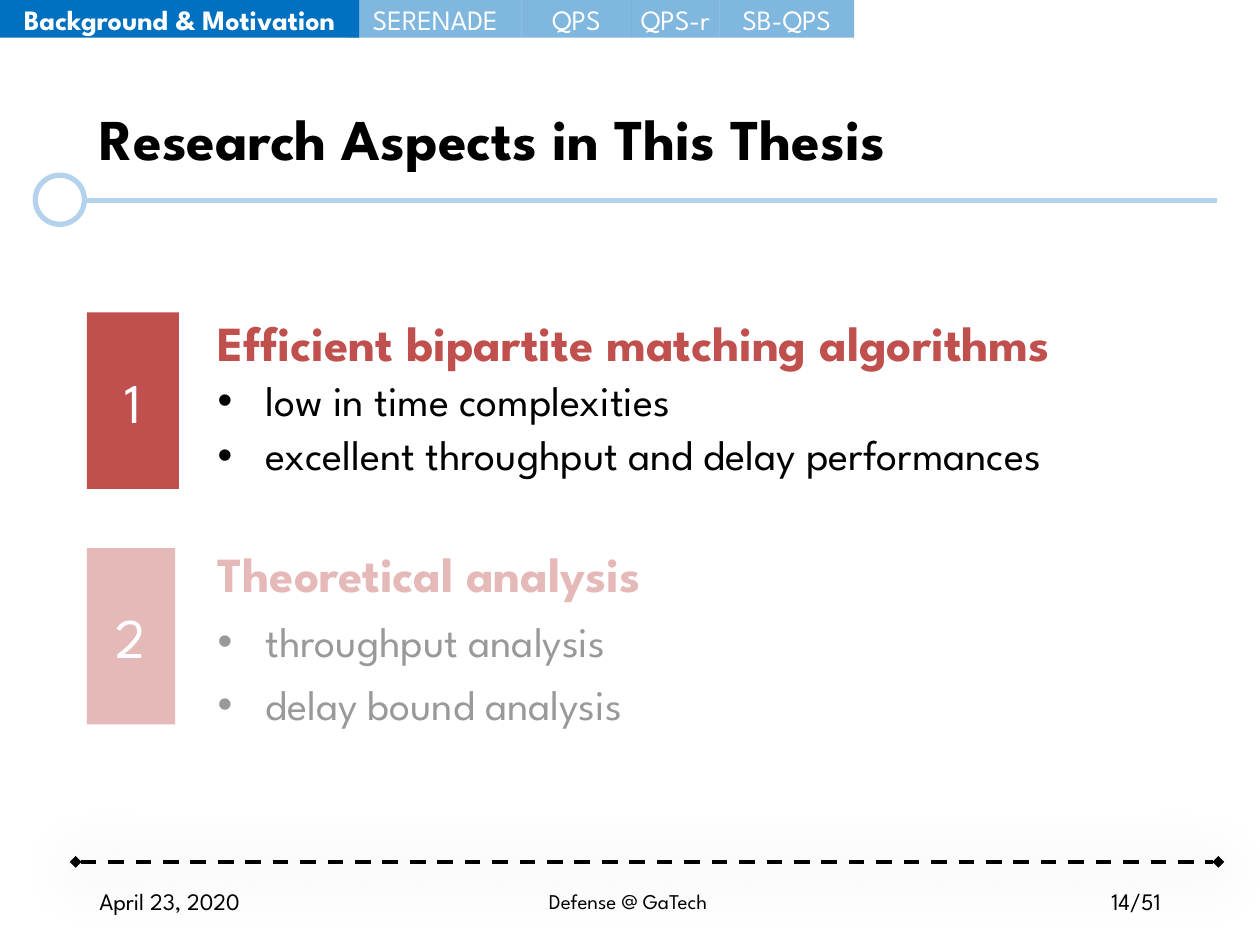
from dataclasses import dataclass

from lxml import etree
from pptx import Presentation
from pptx.dml.color import RGBColor
from pptx.enum import dml, shapes, text
from pptx.oxml import ns
from pptx.util import Inches, Pt


@dataclass(frozen=True)
class Theme:
    font: str = "League Spartan"
    black: str = "000000"
    white: str = "FFFFFF"
    accent: str = "C0504D"
    navigation: str = "0070C0"
    rule: str = "B5D2EC"
    title: float = 33
    number: float = 32
    heading: float = 28
    bullet: float = 24
    tab: float = 16
    footer: float = 13.5
    venue: float = 12


THEME = Theme()
ALIGN = text.PP_ALIGN


def color(value):
    return RGBColor.from_string(value)


def add_child(parent, tag, **attributes):
    return etree.SubElement(parent, ns.qn(tag), attributes)


def make_shadow(blur, distance, degrees, opacity):
    """Return an effect list with one outer shadow; lengths are points."""
    effects = etree.Element(ns.qn("a:effectLst"))
    shadow = add_child(effects, "a:outerShdw", blurRad=str(Pt(blur)), dist=str(Pt(distance)),
                       dir=str(degrees * 60000), algn="ctr", rotWithShape="0")
    black = add_child(shadow, "a:srgbClr", val=THEME.black)
    add_child(black, "a:alpha", val=str(opacity * 1000))
    return effects


def add_run(paragraph, words, size, ink, bold=False):
    run = paragraph.add_run()
    run.text = words
    run.font.name = THEME.font
    run.font.size = Pt(size)
    run.font.bold = bold
    run.font.color.rgb = color(ink)
    return run


def add_block(slide, kind, box, fill, opacity=100):
    shape = slide.shapes.add_shape(kind, *map(Inches, box))
    shape.shadow.inherit = False
    shape.line.fill.background()
    shape.fill.solid()
    shape.fill.fore_color.rgb = color(fill)
    if opacity < 100:
        tint = shape.fill._xPr.find(".//" + ns.qn("a:srgbClr"))
        add_child(tint, "a:alpha", val=str(opacity * 1000))
    return shape


def add_label_block(slide, box, fill, words, size, bold=False, opacity=100):
    shape = add_block(slide, shapes.MSO_SHAPE.RECTANGLE, box, fill, opacity)
    frame = shape.text_frame
    frame.margin_left = frame.margin_right = 0
    frame.vertical_anchor = text.MSO_ANCHOR.MIDDLE
    paragraph = frame.paragraphs[0]
    paragraph.alignment = ALIGN.CENTER
    add_run(paragraph, words, size, THEME.white, bold)


def add_text_frame(slide, box, anchor):
    frame = slide.shapes.add_textbox(*map(Inches, box)).text_frame
    frame.word_wrap = True
    frame.vertical_anchor = anchor
    return frame


def add_line(slide, left, right, y, ink, width):
    line = slide.shapes.add_connector(shapes.MSO_CONNECTOR.STRAIGHT, Inches(left), Inches(y),
                                      Inches(right), Inches(y))
    line.line.color.rgb = color(ink)
    line.line.width = Pt(width)
    return line


def add_title_rule(slide):
    line = add_line(slide, 0.69, 9.66, 1.59, THEME.rule, 3)
    add_child(line._element.spPr, "a:effectLst")
    ring = add_block(slide, shapes.MSO_SHAPE.OVAL, (0.28, 1.39, 0.39, 0.39), THEME.white)
    ring.line.color.rgb = color(THEME.rule)
    ring.line.width = Pt(3)


def add_footer_rule(slide):
    line = add_line(slide, 0.6, 9.67, 6.84, THEME.black, 2.25)
    line.line.dash_style = dml.MSO_LINE.DASH
    outline = line.line._get_or_add_ln()
    add_child(outline, "a:headEnd", type="diamond")
    add_child(outline, "a:tailEnd", type="diamond")
    line._element.spPr.append(make_shadow(36, 4, 90, 43))


def add_title(slide, words):
    frame = add_text_frame(slide, (0.69, 0.4, 8.62, 1.45), text.MSO_ANCHOR.MIDDLE)
    paragraph = frame.paragraphs[0]
    paragraph.line_spacing = 0.9
    run = add_run(paragraph, words, THEME.title, THEME.black, True)
    fill = run.font._element.find(ns.qn("a:solidFill"))
    fill.addnext(make_shadow(4, 3, 45, 45))


def add_footer(slide, left, width, words, size, alignment):
    frame = add_text_frame(slide, (left, 6.95, width, 0.4), text.MSO_ANCHOR.MIDDLE)
    paragraph = frame.paragraphs[0]
    paragraph.alignment = alignment
    add_run(paragraph, words, size, THEME.black)


def add_aspect(slide, box, heading, bullets, gap):
    """Add a heading and its bullets, with gap points before each bullet."""
    frame = add_text_frame(slide, box, text.MSO_ANCHOR.TOP)
    frame.auto_size = text.MSO_AUTO_SIZE.SHAPE_TO_FIT_TEXT
    paragraph = frame.paragraphs[0]
    paragraph.line_spacing = 0.9
    add_run(paragraph, heading, THEME.heading, THEME.accent, True)
    for words in bullets:
        paragraph = frame.add_paragraph()
        properties = paragraph._p.get_or_add_pPr()
        properties.set("marL", str(Inches(0.38)))
        properties.set("indent", str(-Inches(0.38)))
        add_child(properties, "a:buFont", typeface="Arial")
        add_child(properties, "a:buChar", char="•")
        paragraph.line_spacing = 0.9
        paragraph.space_before = Pt(gap)
        add_run(paragraph, words, THEME.bullet, THEME.black)


def add_navigation(slide):
    add_label_block(slide, (0, 0, 2.85, 0.3), THEME.navigation, "Background & Motivation",
                    THEME.tab, bold=True)
    left = 2.77
    for words, width in (("SERENADE", 1.37), ("QPS", 0.87), ("QPS-r", 0.7), ("SB-QPS", 1.07)):
        add_label_block(slide, (left, 0, width, 0.3), THEME.navigation, words, THEME.tab,
                        opacity=50)
        left += width


def main():
    presentation = Presentation()
    presentation.slide_width = Inches(10)
    presentation.slide_height = Inches(7.5)
    slide = presentation.slides.add_slide(presentation.slide_layouts[6])

    add_title_rule(slide)
    add_footer_rule(slide)
    add_title(slide, "Research Aspects in This Thesis")
    add_footer(slide, 0.69, 2.25, "April 23, 2020", THEME.footer, ALIGN.LEFT)
    add_footer(slide, 2.41, 5.15, "Defense @ GaTech", THEME.venue, ALIGN.CENTER)

    add_label_block(slide, (0.69, 2.48, 0.73, 1.4), THEME.accent, "1", THEME.number)
    add_aspect(slide, (1.63, 2.48, 8.16, 1.39), "Efficient bipartite matching algorithms",
               ("low in time complexities", "excellent throughput and delay performances"), 5)
    add_label_block(slide, (0.69, 4.35, 0.7, 1.4), THEME.accent, "2", THEME.number)
    add_aspect(slide, (1.63, 4.32, 7, 1.53), "Theoretical analysis",
               ("throughput analysis", "delay bound analysis"), 10)

    add_navigation(slide)
    add_block(slide, shapes.MSO_SHAPE.RECTANGLE, (0.57, 4.04, 9.22, 2.3), THEME.white, 60)
    add_footer(slide, 7.06, 2.25, "14/51", THEME.footer, ALIGN.RIGHT)
    presentation.save("out.pptx")


if __name__ == "__main__":
    main()
